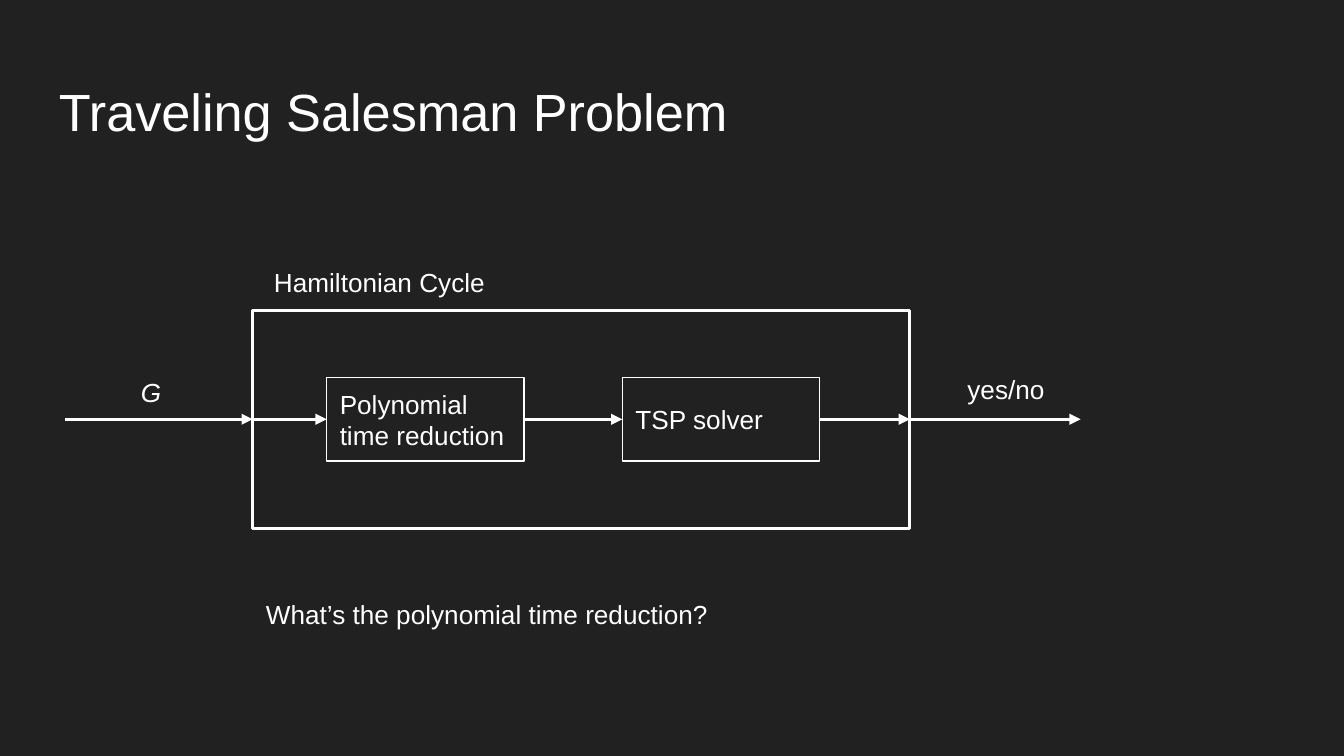
from lxml import etree
from pptx import Presentation
from pptx.dml.color import RGBColor
from pptx.enum.shapes import MSO_CONNECTOR, MSO_SHAPE
from pptx.enum.text import MSO_ANCHOR, PP_ALIGN
from pptx.oxml.ns import qn
from pptx.util import Inches, Pt

COLORS = {"background": "212121", "foreground": "FFFFFF"}
FONT = "Arial"
RECTANGLE = MSO_SHAPE.RECTANGLE
STRAIGHT = MSO_CONNECTOR.STRAIGHT
TOP, MIDDLE = MSO_ANCHOR.TOP, MSO_ANCHOR.MIDDLE
LEFT_ALIGN = PP_ALIGN.LEFT
LEFT, RIGHT = 1, 3  # connection sites of a rectangle
FLOW_Y = 3.12


def rgb(name):
    return RGBColor.from_string(COLORS[name])


def write(sp, text, size=14, italic=False, anchor=TOP):
    tf = sp.text_frame
    tf.word_wrap = True
    tf.vertical_anchor = anchor
    tf.margin_left = tf.margin_right = Inches(0.1)
    tf.margin_top = tf.margin_bottom = Inches(0.1)
    p = tf.paragraphs[0]
    p.alignment = LEFT_ALIGN
    r = p.add_run()
    r.text = text
    r.font.name = FONT
    r.font.size = Pt(size)
    r.font.italic = italic
    r.font.color.rgb = rgb("foreground")


def add_label(slide, text, left, top, width, height, **style):
    sp = slide.shapes.add_textbox(Inches(left), Inches(top), Inches(width), Inches(height))
    write(sp, text, **style)


def add_box(slide, left, top, width, height, line_width, text=None):
    sp = slide.shapes.add_shape(RECTANGLE, Inches(left), Inches(top), Inches(width), Inches(height))
    sp.shadow.inherit = False
    sp.fill.background()
    sp.line.color.rgb = rgb("foreground")
    sp.line.width = Pt(line_width)
    if text:
        write(sp, text, anchor=MIDDLE)
    return sp


def add_arrow(slide, x1, x2, start=None, end=None):
    """Draw an arrow along the flow line; start and end are (box, site) pairs to join."""
    y = Inches(FLOW_Y)
    line = slide.shapes.add_connector(STRAIGHT, Inches(x1), y, Inches(x2), y)
    if start:
        line.begin_connect(*start)
    if end:
        line.end_connect(*end)
    line.line.color.rgb = rgb("foreground")
    line.line.width = Pt(1.5)
    properties = line._element.spPr
    etree.SubElement(properties.find(qn("a:ln")), qn("a:tailEnd"), type="triangle")
    etree.SubElement(properties, qn("a:effectLst"))


def main():
    prs = Presentation()
    prs.slide_width = Inches(10)
    prs.slide_height = prs.slide_width * 9 // 16
    slide = prs.slides.add_slide(prs.slide_layouts[6])
    fill = slide.background.fill
    fill.solid()
    fill.fore_color.rgb = rgb("background")

    add_label(slide, "Traveling Salesman Problem", 0.34, 0.49, 9.32, 0.63, size=28)

    # An even height puts the middle of every box exactly on the flow line.
    cycle = add_box(slide, 1.88, FLOW_Y - 0.81, 4.89, 1.62, 1.5)
    reduction = add_box(slide, 2.43, FLOW_Y - 0.31, 1.47, 0.62, 0.75, "Polynomial time reduction")
    solver = add_box(slide, 4.63, FLOW_Y - 0.31, 1.47, 0.62, 0.75, "TSP solver")

    add_arrow(slide, 0.48, 1.88, end=(cycle, LEFT))
    add_arrow(slide, 1.88, 2.43, (cycle, LEFT), (reduction, LEFT))
    add_arrow(slide, 3.9, 4.63, (reduction, RIGHT), (solver, LEFT))
    add_arrow(slide, 6.1, 6.77, (solver, RIGHT), (cycle, RIGHT))
    add_arrow(slide, 6.77, 8.04, start=(cycle, RIGHT))

    add_label(slide, "Hamiltonian Cycle", 1.94, 1.88, 1.86, 0.43)
    add_label(slide, "G", 0.95, 2.7, 0.46, 0.37, italic=True)
    add_label(slide, "yes/no", 7.1, 2.68, 1.04, 0.43)
    add_label(slide, "What’s the polynomial time reduction?", 1.88, 4.35, 6.33, 0.74)

    prs.save("out.pptx")


if __name__ == "__main__":
    main()
